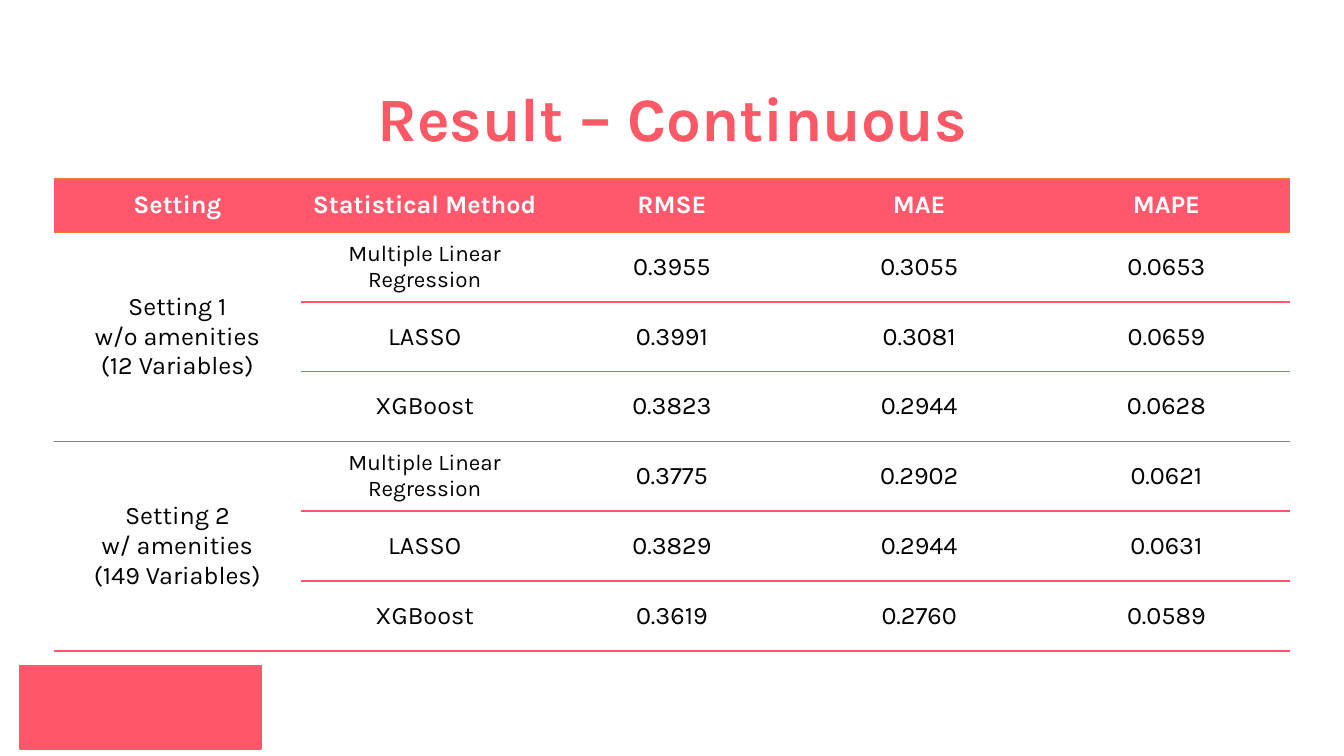
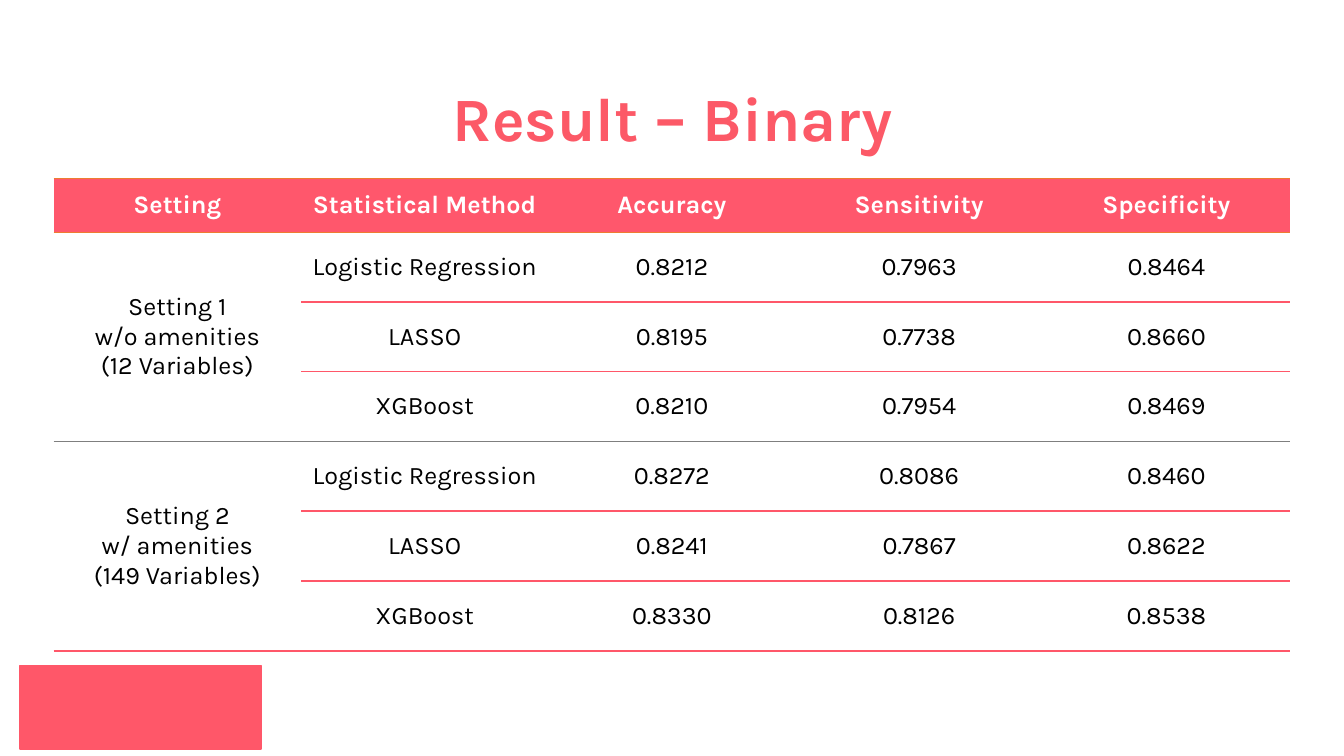
from dataclasses import dataclass

from lxml import etree
from pptx import Presentation
from pptx.dml.color import RGBColor
from pptx.enum.shapes import MSO_SHAPE
from pptx.enum.text import MSO_ANCHOR, PP_ALIGN
from pptx.oxml.ns import qn
from pptx.util import Inches, Pt

RECTANGLE = MSO_SHAPE.RECTANGLE
MIDDLE = MSO_ANCHOR.MIDDLE
CENTER = PP_ALIGN.CENTER


@dataclass(frozen=True)
class Theme:
    font: str = "Karla"
    accent: str = "FF5769"
    title: str = "FC5967"
    header: str = "FF576C"
    header_rule: str = "ED7D31"
    group_rule: str = "7F7F7F"
    light: str = "FFFFFF"
    dark: str = "000000"
    title_size: int = 44
    body_size: int = 18
    small_size: int = 16


theme = Theme()

# Content
settings = [
    ["Setting 1", "w/o amenities", "(12 Variables)"],
    ["Setting 2", "w/ amenities", "(149 Variables)"],
]
results = [
    {
        "title": "Result – Continuous",
        "measures": ["RMSE", "MAE", "MAPE"],
        "methods": ["Multiple Linear Regression", "LASSO", "XGBoost"],
        "method_sizes": [theme.small_size, theme.body_size, theme.body_size],
        "scores": [
            ["0.3955", "0.3055", "0.0653"],
            ["0.3991", "0.3081", "0.0659"],
            ["0.3823", "0.2944", "0.0628"],
            ["0.3775", "0.2902", "0.0621"],
            ["0.3829", "0.2944", "0.0631"],
            ["0.3619", "0.2760", "0.0589"],
        ],
    },
    {
        "title": "Result – Binary",
        "measures": ["Accuracy", "Sensitivity", "Specificity"],
        "methods": ["Logistic Regression", "LASSO", "XGBoost"],
        "method_sizes": [theme.body_size] * 3,
        "scores": [
            ["0.8212", "0.7963", "0.8464"],
            ["0.8195", "0.7738", "0.8660"],
            ["0.8210", "0.7954", "0.8469"],
            ["0.8272", "0.8086", "0.8460"],
            ["0.8241", "0.7867", "0.8622"],
            ["0.8330", "0.8126", "0.8538"],
        ],
    },
]


def write(text_frame, lines, size, color, bold=False):
    """Write centred lines, one paragraph each."""
    for index, line in enumerate(lines):
        paragraph = text_frame.paragraphs[0] if index == 0 else text_frame.add_paragraph()
        paragraph.alignment = CENTER
        run = paragraph.add_run()
        run.text = line
        run.font.name = theme.font
        run.font.size = Pt(size)
        run.font.bold = bold
        run.font.color.rgb = RGBColor.from_string(color)


def set_borders(cell, top, bottom):
    """Draw the horizontal rules of a cell; each is (colour, points) or None."""
    properties = cell._tc.get_or_add_tcPr()
    for tag, rule in (("a:lnL", None), ("a:lnR", None), ("a:lnT", top), ("a:lnB", bottom)):
        line = etree.SubElement(properties, qn(tag))
        if rule is None:
            etree.SubElement(line, qn("a:noFill"))
            continue
        color, points = rule
        line.set("w", str(Pt(points)))
        fill = etree.SubElement(line, qn("a:solidFill"))
        etree.SubElement(fill, qn("a:srgbClr")).set("val", color)


presentation = Presentation()
presentation.slide_width = Inches(13.33)
presentation.slide_height = Inches(7.5)
blank_layout = presentation.slide_layouts[6]

# Places as percentages of the slide: one unit across, one unit down
across = presentation.slide_width / 100
down = presentation.slide_height / 100
table_height = 62.53 * down
header_height = 7.07 * down

# Table grid and the rules between its rows, from top to bottom
group_size = 3
column_count = 5
row_count = 1 + group_size * len(settings)
row_height = (table_height - header_height) / (row_count - 1)
header_rule = (theme.header_rule, 0.5)
accent_rule = (theme.accent, 1.5)
group_rule = (theme.group_rule, 0.5)
rules = [header_rule, header_rule, accent_rule, accent_rule,
         group_rule, accent_rule, accent_rule, accent_rule]

for result in results:
    slide = presentation.slides.add_slide(blank_layout)

    # Corner block
    block = slide.shapes.add_shape(
        RECTANGLE, int(1.5 * across), int(88 * down), int(17.93 * across), int(11.07 * down))
    block.shadow.inherit = False
    block.fill.solid()
    block.fill.fore_color.rgb = RGBColor.from_string(theme.accent)
    block.line.color.rgb = RGBColor.from_string(theme.accent)
    block.line.width = Pt(1)

    # Title
    title = slide.shapes.add_textbox(
        int(4.05 * across), int(6.4 * down), int(92 * across), int(19.33 * down))
    title.text_frame.word_wrap = True
    title.text_frame.vertical_anchor = MIDDLE
    write(title.text_frame, [result["title"]], theme.title_size, theme.title, bold=True)
    title.text_frame.paragraphs[0].line_spacing = 0.9

    # Table
    table = slide.shapes.add_table(
        row_count, column_count, int(4 * across), int(23.6 * down),
        int(92 * across), int(table_height)).table
    table.first_row = True
    table.horz_banding = False
    for row_index, row in enumerate(table.rows):
        row.height = int(row_height if row_index else header_height)

    # Borders and fills; the setting column has rules only between groups
    for row_index in range(row_count):
        for column_index in range(column_count):
            cell = table.cell(row_index, column_index)
            cell.vertical_anchor = MIDDLE
            top, bottom = row_index, row_index + 1
            if column_index == 0 and row_index > 0:
                top = (row_index - 1) // group_size * group_size + 1
                bottom = top + group_size
            set_borders(cell, rules[top], rules[bottom])
            if row_index == 0:
                cell.fill.solid()
                cell.fill.fore_color.rgb = RGBColor.from_string(theme.header)
            else:
                cell.fill.background()

    # Header text
    headings = ["Setting", "Statistical Method"] + result["measures"]
    for column_index, heading in enumerate(headings):
        write(table.cell(0, column_index).text_frame, [heading],
              theme.body_size, theme.light, bold=True)

    # Setting groups
    for group_index, setting in enumerate(settings):
        first_row = 1 + group_index * group_size
        setting_cell = table.cell(first_row, 0)
        setting_cell.merge(table.cell(first_row + group_size - 1, 0))
        write(setting_cell.text_frame, setting, theme.body_size, theme.dark)

    # Methods and scores
    for score_index, scores in enumerate(result["scores"]):
        method_index = score_index % group_size
        write(table.cell(score_index + 1, 1).text_frame, [result["methods"][method_index]],
              result["method_sizes"][method_index], theme.dark)
        for column_index, score in enumerate(scores, start=2):
            write(table.cell(score_index + 1, column_index).text_frame, [score],
                  theme.body_size, theme.dark)

presentation.save("out.pptx")
